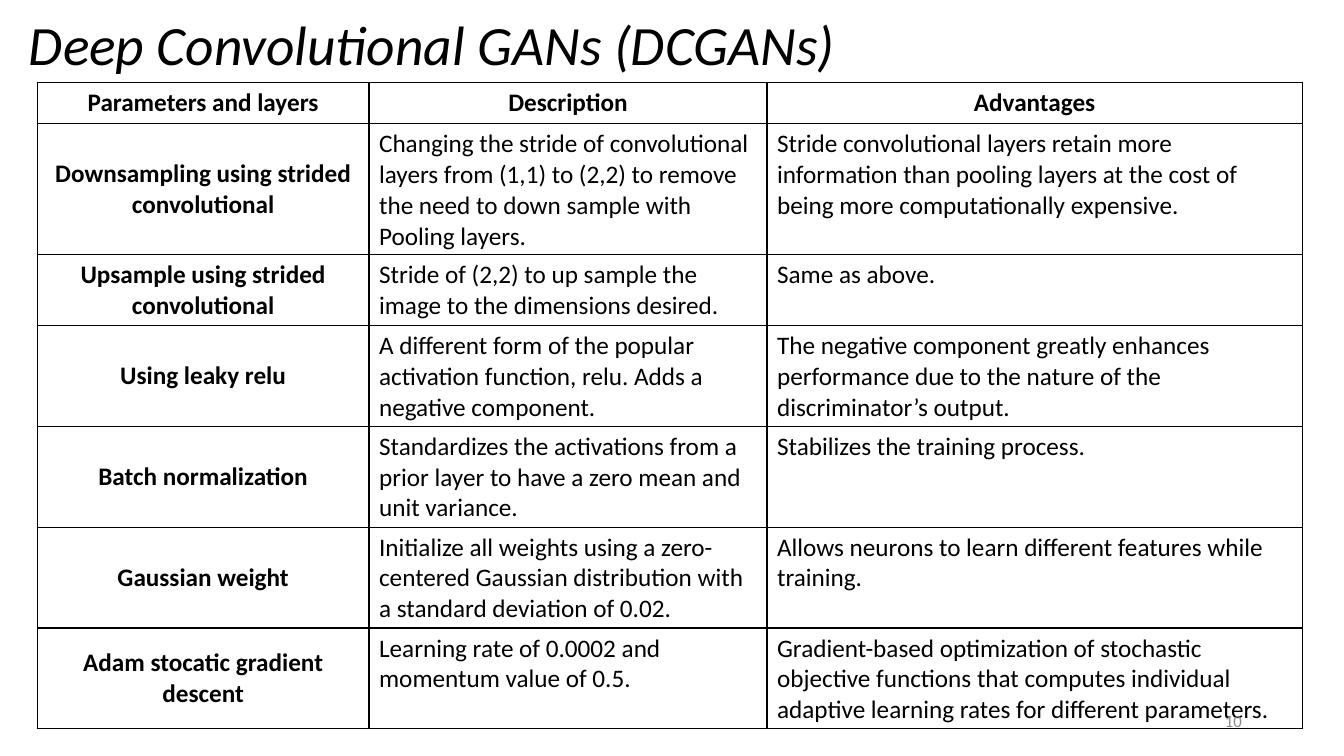
from dataclasses import dataclass

from lxml.etree import SubElement
from pptx import Presentation
from pptx.dml.color import RGBColor as Color
from pptx.enum.text import MSO_ANCHOR as Anchor, PP_ALIGN as Align
from pptx.oxml.ns import qn
from pptx.util import Cm, Pt


@dataclass(frozen=True)
class Theme:
    font: str = "Calibri"
    ink: str = "000000"
    muted: str = "8C8C8C"
    background: str = "FFFFFF"
    title_size: float = 39.6
    table_size: float = 18
    number_size: float = 12
    border_width: float = 1


HEADINGS = ("Parameters and layers", "Description", "Advantages")
TECHNIQUES = (
    ("Downsampling using strided convolutional",
     "Changing the stride of convolutional layers from (1,1) to (2,2) to remove "
     "the need to down sample with Pooling layers.",
     "Stride convolutional layers retain more information than pooling layers "
     "at the cost of being more computationally expensive."),
    ("Upsample using strided convolutional",
     "Stride of (2,2) to up sample the image to the dimensions desired.",
     "Same as above."),
    ("Using leaky relu",
     "A different form of the popular activation function, relu. "
     "Adds a negative component.",
     "The negative component greatly enhances performance due to the nature "
     "of the discriminator’s output."),
    ("Batch normalization",
     "Standardizes the activations from a prior layer to have a zero mean "
     "and unit variance.",
     "Stabilizes the training process."),
    ("Gaussian weight",
     "Initialize all weights using a zero-centered Gaussian distribution with "
     "a standard deviation of 0.02.",
     "Allows neurons to learn different features while training."),
    ("Adam stocatic gradient descent",
     "Learning rate of 0.0002 and momentum value of 0.5.",
     "Gradient-based optimization of stochastic objective functions that "
     "computes individual adaptive learning rates for different parameters."),
)
COLUMN_WIDTHS = (8.36, 10.03, 13.49)
ROW_HEIGHT = 1.04


class SlideBuilder:
    def __init__(self, slide, theme):
        self.slide = slide
        self.theme = theme
        fill = slide.background.fill
        fill.solid()
        fill.fore_color.rgb = Color.from_string(theme.background)

    def fill_frame(self, frame, text, size, color, paragraph_format, **font_format):
        """Put one styled paragraph into a text frame."""
        paragraph = frame.paragraphs[0]
        for name, value in paragraph_format.items():
            setattr(paragraph, name, value)
        run = paragraph.add_run()
        run.text = text
        run.font.color.rgb = Color.from_string(color)
        for name, value in {"name": self.theme.font, "size": Pt(size), **font_format}.items():
            setattr(run.font, name, value)

    def add_text(self, box, text, size, color, paragraph_format, **font_format):
        frame = self.slide.shapes.add_textbox(*map(Cm, box)).text_frame
        frame.word_wrap = True
        frame.vertical_anchor = Anchor.MIDDLE
        self.fill_frame(frame, text, size, color, paragraph_format, **font_format)

    def add_borders(self, cell):
        properties = cell._tc.get_or_add_tcPr()
        for position, side in enumerate(("lnL", "lnR", "lnT", "lnB")):
            line = SubElement(properties, qn(f"a:{side}"), w=str(Pt(self.theme.border_width)))
            fill = SubElement(line, qn("a:solidFill"))
            SubElement(fill, qn("a:srgbClr"), val=self.theme.ink)
            properties.insert(position, line)

    def add_table(self, left, top, height, widths, rows):
        """Draw a bordered table with a bold heading row and first column."""
        graphic = self.slide.shapes.add_table(
            len(rows), len(widths), Cm(left), Cm(top), Cm(sum(widths)), Cm(height))
        table = graphic.table
        table.first_row = table.horz_banding = False
        for column, width in zip(table.columns, widths):
            column.width = Cm(width)
        for row_index, texts in enumerate(rows):
            table.rows[row_index].height = Cm(ROW_HEIGHT)
            for column_index, text in enumerate(texts):
                cell = table.cell(row_index, column_index)
                is_heading = row_index == 0 or column_index == 0
                if row_index > 0 and column_index == 0:
                    cell.vertical_anchor = Anchor.MIDDLE
                cell.fill.background()
                self.add_borders(cell)
                alignment = Align.CENTER if is_heading else Align.LEFT
                self.fill_frame(cell.text_frame, text, self.theme.table_size, self.theme.ink,
                                {"alignment": alignment}, bold=is_heading)
        graphic.height = Cm(height)


def main():
    presentation = Presentation()
    presentation.slide_width, presentation.slide_height = Cm(33.87), Cm(19.05)
    theme = Theme()
    builder = SlideBuilder(presentation.slides.add_slide(presentation.slide_layouts[6]), theme)
    builder.add_text((0.48, 0.3, 22.68, 1.78), "Deep Convolutional GANs (DCGANs)",
                     theme.title_size, theme.ink, {"line_spacing": 0.9}, italic=True)
    builder.add_table(0.94, 2.08, 16.28, COLUMN_WIDTHS, (HEADINGS, *TECHNIQUES))
    builder.add_text((23.93, 17.65, 7.62, 1.02), "10",
                     theme.number_size, theme.muted, {"alignment": Align.RIGHT})
    presentation.save("out.pptx")


if __name__ == "__main__":
    main()
